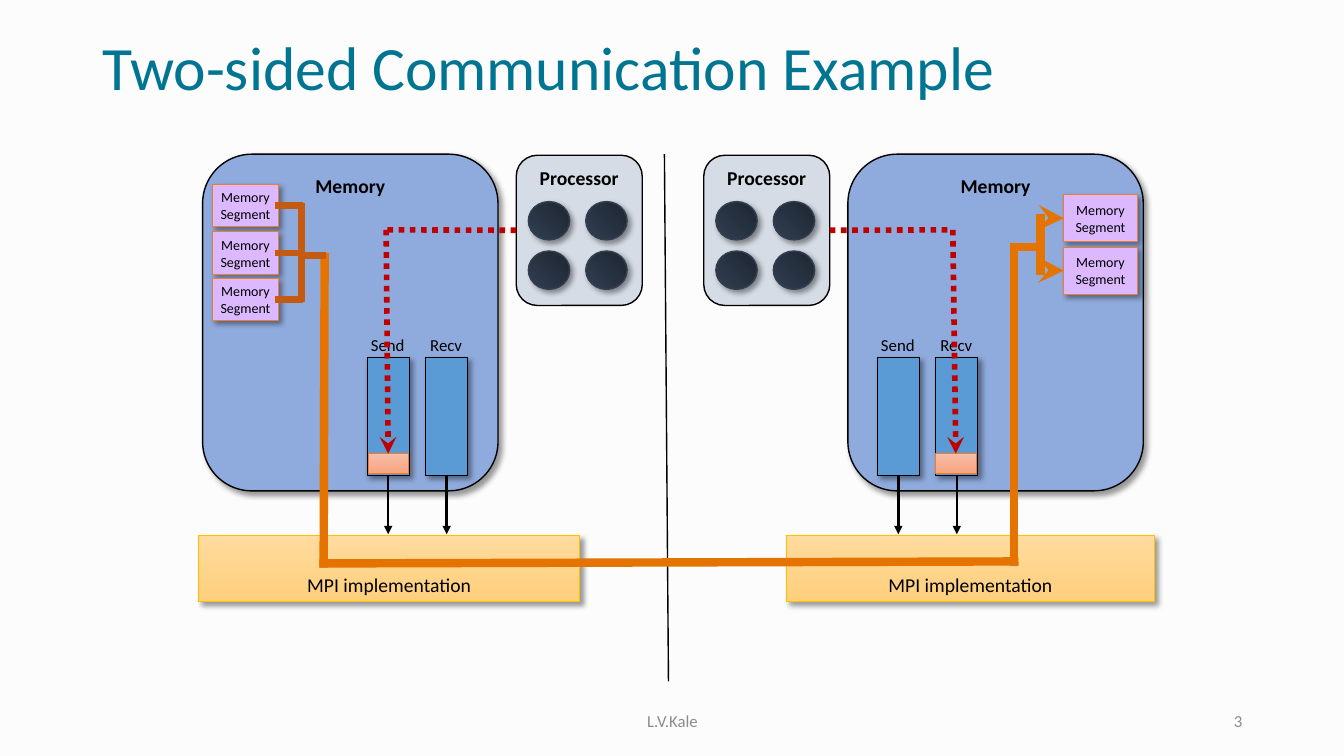
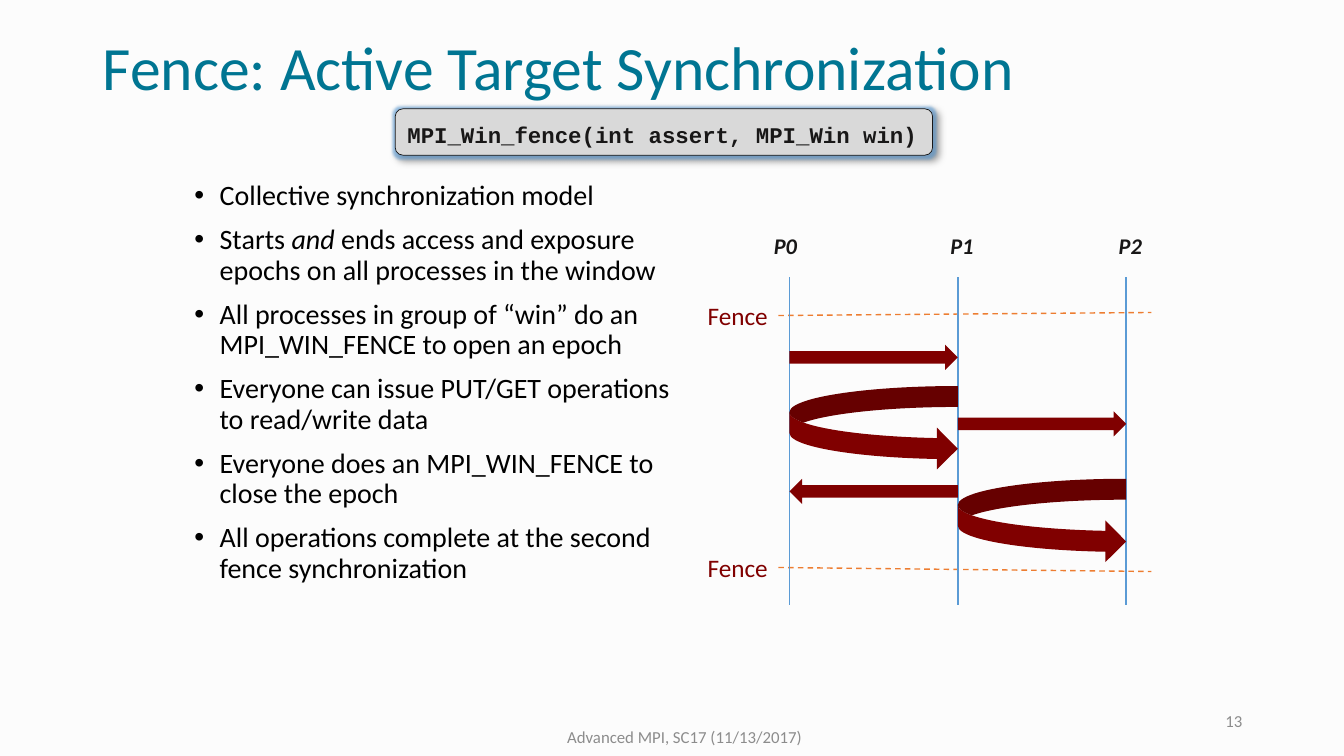
"""Build two slides on message passing: two-sided communication and fences."""
from lxml import etree
from pptx import Presentation
from pptx.dml.color import RGBColor
from pptx.enum.dml import MSO_LINE
from pptx.enum.shapes import MSO_CONNECTOR, MSO_SHAPE
from pptx.enum.text import MSO_ANCHOR, PP_ALIGN
from pptx.oxml.ns import qn
from pptx.util import Inches, Pt

BACKGROUND = RGBColor(0xFC, 0xFC, 0xFC)
TEAL = RGBColor(0x00, 0x75, 0x92)
GREY = RGBColor(0x8C, 0x8C, 0x8C)
BLACK = RGBColor(0, 0, 0)
INK = RGBColor(0x18, 0x17, 0x17)
SILVER = RGBColor(0xD9, 0xD9, 0xD9)
PALE_BLUE = RGBColor(0x8F, 0xAA, 0xDC)
BLUE = RGBColor(0x5B, 0x9B, 0xD5)
STEEL = RGBColor(0xD6, 0xDC, 0xE5)
SLATE = RGBColor(0x33, 0x3F, 0x50)
LILAC = RGBColor(0xDC, 0xB9, 0xFF)
ORANGE = RGBColor(0xED, 0x7D, 0x31)
ROUTE = RGBColor(0xE5, 0x73, 0x00)
BROWN = RGBColor(0xC5, 0x5A, 0x11)
GOLD = RGBColor(0xFF, 0xC0, 0x00)
RED = RGBColor(0xC0, 0, 0)
MAROON = RGBColor(0x80, 0, 0)
AMBER_FADE = (RGBColor(0xFF, 0xDB, 0x9E), RGBColor(0xFF, 0xD0, 0x7C), 270)
CORE_FADE = (RGBColor(0x1D, 0x25, 0x30), RGBColor(0x31, 0x3F, 0x52), 225)
PEACH_FADE = (RGBColor(0xF7, 0xBD, 0xA5), RGBColor(0xF8, 0xA5, 0x82), 270)

RECT, ROUNDED, OVAL = MSO_SHAPE.RECTANGLE, MSO_SHAPE.ROUNDED_RECTANGLE, MSO_SHAPE.OVAL
RIGHT_ARROW, LEFT_ARROW = MSO_SHAPE.RIGHT_ARROW, MSO_SHAPE.LEFT_ARROW
CURVED_ARROW = MSO_SHAPE.CURVED_RIGHT_ARROW
STRAIGHT = MSO_CONNECTOR.STRAIGHT
DOTS, DASH = MSO_LINE.ROUND_DOT, MSO_LINE.DASH
TOP, MIDDLE, BOTTOM = MSO_ANCHOR.TOP, MSO_ANCHOR.MIDDLE, MSO_ANCHOR.BOTTOM
LEFT, CENTER, RIGHT = PP_ALIGN.LEFT, PP_ALIGN.CENTER, PP_ALIGN.RIGHT
SITE_TOP, SITE_LEFT, SITE_BOTTOM, SITE_RIGHT = range(4)


def add_effect(sp, tag, color, alpha, **attrs):
    effects = sp._element.spPr.find(qn("a:effectLst"))
    effect = etree.SubElement(effects, qn(tag), {k: str(v) for k, v in attrs.items()})
    clr = etree.SubElement(effect, qn("a:srgbClr"), val=str(color))
    etree.SubElement(clr, qn("a:alpha"), val=str(alpha * 1000))


def add_shadow(sp):
    add_effect(sp, "a:outerShdw", BLACK, 40, blurRad=Pt(4), dist=Pt(3),
               dir=45 * 60000, algn="tl", rotWithShape=0)


def write(sp, paragraphs, size, color=BLACK, align=CENTER, anchor=TOP, wrap=False,
          spacing=None, gap=0, bullet=False, **font):
    tf = sp.text_frame
    tf.word_wrap = wrap
    tf.vertical_anchor = anchor
    font = {"name": "Calibri", "size": Pt(size), **font}
    for i, runs in enumerate(paragraphs):
        p = tf.add_paragraph() if i else tf.paragraphs[0]
        if bullet:
            pPr = p._p.get_or_add_pPr()
            pPr.set("marL", str(Inches(0.25)))
            pPr.set("indent", str(-Inches(0.25)))
            etree.SubElement(pPr, qn("a:buFont"), typeface="Arial")
            etree.SubElement(pPr, qn("a:buChar"), char="•")
        p.alignment = align
        if spacing:
            p.line_spacing = spacing
        if i and gap:
            p.space_before = Pt(gap)
        for text, extra in [(runs, {})] if isinstance(runs, str) else runs:
            r = p.add_run()
            r.text = text
            r.font.color.rgb = color
            for name, value in {**font, **extra}.items():
                setattr(r.font, name, value)


def add_text(s, box, paragraphs, size, **fmt):
    sp = s.shapes.add_textbox(*map(Inches, box))
    write(sp, paragraphs, size, **fmt)


def add_box(s, kind, box, fill, line=None, width=1, shadow=False):
    sp = s.shapes.add_shape(kind, *map(Inches, box))
    if isinstance(fill, RGBColor):
        sp.fill.solid()
        sp.fill.fore_color.rgb = fill
    else:
        *ends, angle = fill
        sp.fill.gradient()
        sp.fill.gradient_angle = angle
        for stop, color in zip(sp.fill.gradient_stops, ends):
            stop.color.rgb = color
    if line is None:
        sp.line.fill.background()
    else:
        sp.line.color.rgb = line
        sp.line.width = Pt(width)
    sp.shadow.inherit = False
    if shadow:
        add_shadow(sp)
    return sp


def add_line(s, start, end, color, width, dash=None, tail=None, square=False,
             begin=None, finish=None):
    cxn = s.shapes.add_connector(STRAIGHT, *map(Inches, (*start, *end)))
    cxn.line.color.rgb = color
    cxn.line.width = Pt(width)
    if dash:
        cxn.line.dash_style = dash
    ln = cxn.line._get_or_add_ln()
    if square:
        ln.set("cap", "sq")
    if tail:
        etree.SubElement(ln, qn("a:tailEnd"), type=tail)
    etree.SubElement(cxn._element.spPr, qn("a:effectLst"))
    if begin:
        cxn.begin_connect(*begin)
    if finish:
        cxn.end_connect(*finish)


def add_frame(prs, title, footer, footer_box, number):
    s = prs.slides.add_slide(prs.slide_layouts[6])
    add_text(s, (0.92, 0.28, 11.5, 0.84), [title], 44, color=TEAL, align=LEFT,
             anchor=MIDDLE, wrap=True, spacing=0.9)
    for box, text, align in ((footer_box, footer, CENTER),
                             ((9.42, 6.95, 3, 0.4), number, RIGHT)):
        add_text(s, box, [text], 12, color=GREY, align=align, anchor=MIDDLE, wrap=True)
    return s


def add_memory(s, x):
    sp = add_box(s, ROUNDED, (x, 1.53, 2.93, 3.34), PALE_BLUE, BLACK, shadow=True)
    write(sp, ["Memory"], 14, bold=True)


def add_mpi(s, x, w):
    sp = add_box(s, RECT, (x, 5.31, w, 0.66), AMBER_FADE, GOLD, 0.5, shadow=True)
    write(sp, ["MPI implementation"], 14, anchor=BOTTOM)


def add_processor(s, x):
    sp = add_box(s, ROUNDED, (x, 1.54, 1.25, 1.49), STEEL, BLACK)
    write(sp, ["Processor"], 14, bold=True)
    for row in range(2):
        for col in range(2):
            box = (x + 0.12 + 0.57 * col, 2 + 0.49 * row, 0.41, 0.38)
            add_box(s, OVAL, box, CORE_FADE, SLATE, shadow=True)
    return sp


def add_queues(s, x):
    for i, name in enumerate(("Send", "Recv")):
        left = x + 0.58 * i
        mid = left + 0.21
        sp = add_box(s, RECT, (left, 3.55, 0.42, 1.17), BLUE, BLACK, 0.75, shadow=True)
        add_line(s, (mid, 4.72), (mid, 5.3), BLACK, 1.75, tail="triangle",
                 begin=(sp, SITE_BOTTOM))
        add_text(s, (mid - 0.28, 3.27, 0.55, 0.3), [name], 12)


def add_segment(s, x, y, w, h):
    sp = add_box(s, RECT, (x, y, w, h), LILAC, ORANGE, 0.5, shadow=True)
    write(sp, ["Memory", "Segment"], 10, anchor=MIDDLE)
    return sp


def add_request(s, processor, site, edge, turn, tile_x):
    tile = add_box(s, RECT, (tile_x, 4.5, 0.4, 0.2), PEACH_FADE, ORANGE, 0.5)
    add_line(s, (edge, 2.28), (turn, 2.28), RED, 4, dash=DOTS, begin=(processor, site))
    add_line(s, (turn, 2.28), (tile_x + 0.2, 4.5), RED, 4, dash=DOTS, tail="stealth",
             finish=(tile, SITE_TOP))


def add_route(s):
    points = [(3.22, 2.55), (3.21, 5.59), (10.06, 5.57), (10.06, 2.45), (10.32, 2.45)]
    for start, end in zip(points, points[1:]):
        add_line(s, start, end, ROUTE, 6, square=True)
    add_line(s, (10.32, 2.16), (10.32, 2.69), ROUTE, 6, square=True)
    for y in (1.93, 2.45):
        sp = add_segment(s, 10.55, y, 0.73, 0.47)
        mid = y + 0.23
        add_line(s, (10.33, mid), (10.55, mid), ROUTE, 6, tail="stealth",
                 finish=(sp, SITE_LEFT))
    for y in (1.83, 2.3, 2.76):
        sp = add_segment(s, 2.11, y, 0.65, 0.42)
        mid = y + 0.21
        add_line(s, (2.76, mid), (2.97, mid), BROWN, 5, square=True,
                 begin=(sp, SITE_RIGHT))
    add_line(s, (2.99, 2.05), (2.99, 2.96), BROWN, 5, square=True)
    add_line(s, (2.99, 2.53), (3.2, 2.53), BROWN, 5, square=True)


def build_two_sided(prs):
    s = add_frame(prs, "Two-sided Communication Example", "L.V.Kale",
                  (4.42, 6.95, 4.5, 0.4), "3")
    for x in (2.01, 8.41):
        add_memory(s, x)
    for x, w in ((1.97, 3.78), (7.8, 3.65)):
        add_mpi(s, x, w)
    for x in (3.64, 8.7):
        add_queues(s, x)
    add_line(s, (6.59, 1.53), (6.63, 6.76), BLACK, 1)
    sender, receiver = [add_processor(s, x) for x in (5.12, 6.98)]
    add_request(s, sender, SITE_LEFT, 5.12, 3.83, 3.65)
    add_request(s, receiver, SITE_RIGHT, 8.23, 9.45, 9.28)
    add_route(s)


def build_fence(prs):
    s = add_frame(prs, "Fence: Active Target Synchronization",
                  "Advanced MPI, SC17 (11/13/2017)", (3.83, 7.17, 5.92, 0.27), "13")
    add_text(s, (1.83, 1.75, 5.08, 4.55), [
        "Collective synchronization model",
        [("Starts ", {}), ("and", {"italic": True}),
         (" ends access and exposure epochs on all processes in the window", {})],
        "All processes in group of “win” do an MPI_WIN_FENCE to open an epoch",
        "Everyone can issue PUT/GET operations to read/write data",
        "Everyone does an MPI_WIN_FENCE to close the epoch",
        "All operations complete at the second fence synchronization",
    ], 20, align=LEFT, wrap=True, spacing=0.9, gap=10, bullet=True)

    sp = add_box(s, ROUNDED, (3.92, 1.08, 5.33, 0.46), SILVER, INK, 0.5)
    add_effect(sp, "a:glow", BLUE, 60, rad=Pt(4))
    add_shadow(sp)
    write(sp, ["MPI_Win_fence(int assert, MPI_Win win)"], 16, color=INK, align=LEFT,
          anchor=MIDDLE, wrap=True, spacing=1.2, name="Courier New", bold=True)

    for y, end_y in ((3.13, 3.1), (5.63, 5.67)):
        add_line(s, (7.72, y), (11.42, end_y), ORANGE, 1, dash=DASH)
        add_text(s, (6.92, y - 0.2, 0.81, 0.4), ["Fence"], 18, color=MAROON,
                 align=LEFT, wrap=True)
    lanes = [7.83 + 1.67 * i for i in range(3)]
    for i, (x, label_x) in enumerate(zip(lanes, (7.5, 9.25, 10.92))):
        add_line(s, (x, 2.75), (x, 6), BLUE, 1)
        add_text(s, (label_x, 2.25, 0.58, 0.37), [f"P{i}"], 16, color=INK, wrap=True,
                 bold=True, italic=True)
    for kind, lane, y, h in ((RIGHT_ARROW, 0, 3.42, 0.25), (CURVED_ARROW, 0, 3.83, 0.83),
                             (LEFT_ARROW, 0, 4.75, 0.25), (RIGHT_ARROW, 1, 4.08, 0.25),
                             (CURVED_ARROW, 1, 4.75, 0.83)):
        add_box(s, kind, (lanes[lane], y, 1.67, h), MAROON)


def main():
    prs = Presentation()
    prs.slide_width, prs.slide_height = Inches(13.33), Inches(7.5)
    fill = prs.slide_master.background.fill
    fill.solid()
    fill.fore_color.rgb = BACKGROUND
    build_two_sided(prs)
    build_fence(prs)
    prs.save("out.pptx")


if __name__ == "__main__":
    main()
